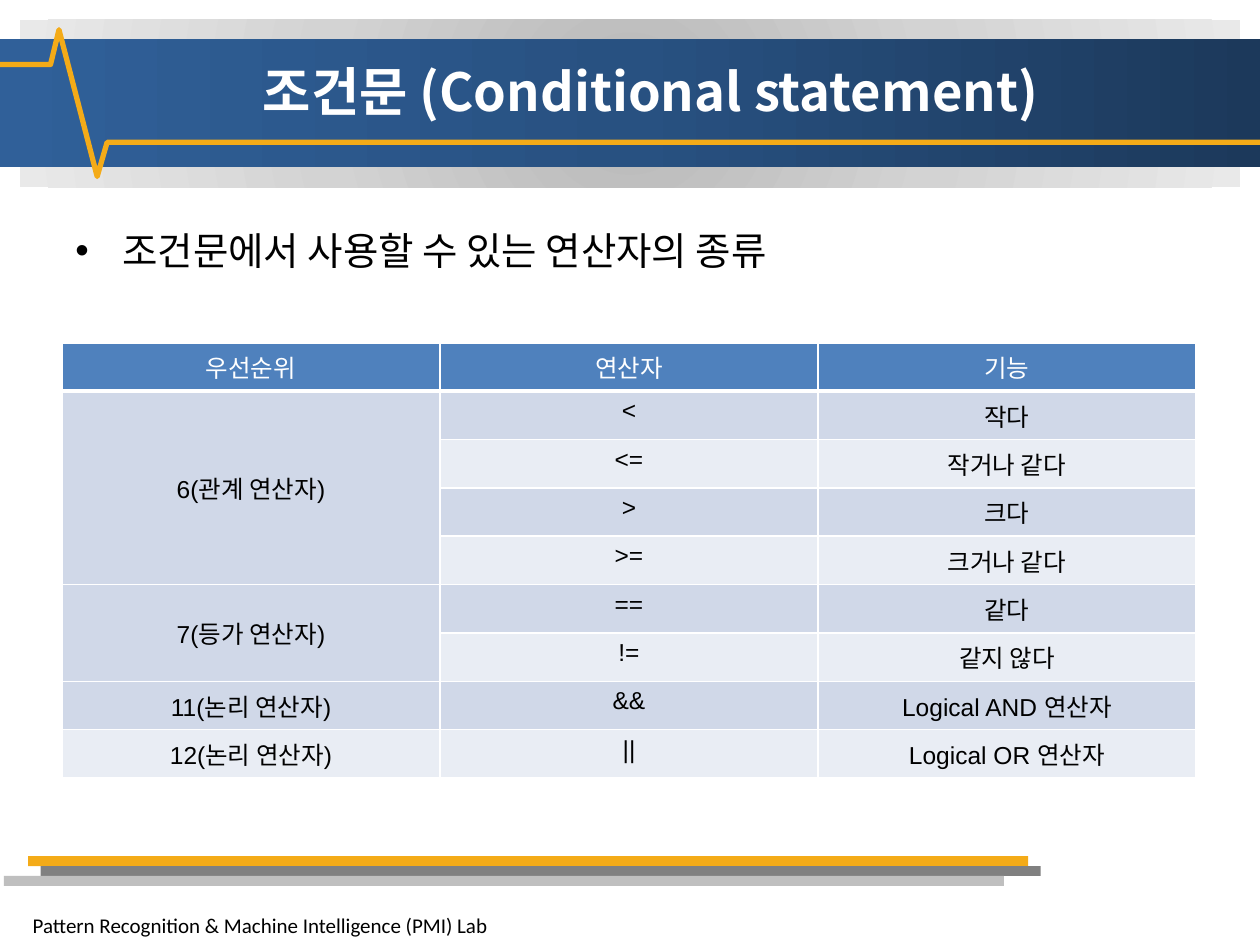
import collections
import pptx
import pptx.util
import pptx.dml.color
import pptx.enum.shapes
import pptx.enum.text
import pptx.oxml
import pptx.oxml.ns

Cm = pptx.util.Cm
Pt = pptx.util.Pt
Box = collections.namedtuple("Box", "left top width height")
ALIGN = pptx.enum.text.PP_ALIGN
ANCHOR = pptx.enum.text.MSO_ANCHOR
RECTANGLE = pptx.enum.shapes.MSO_SHAPE.RECTANGLE

COLORS = {
    "white": "FFFFFF", "black": "000000", "gold": "F4AB18",
    "gray": "808080", "silver": "BFBFBF",
    "head": "4F81BD", "odd": "D0D8E8", "even": "E9EDF4",
}
GLOW_STOPS = [(0, "B8B8B8"), (50, "D3D3D3"), (100, "E9E9E9")]
BAND_STOPS = [(0, "1C395B"), (50, "285181"), (100, "306099")]
KOREAN = "Noto Sans CJK KR"
HEADINGS = ["우선순위", "연산자", "기능"]
GROUPS = [
    ("6(관계 연산자)", [("<", "작다"), ("<=", "작거나 같다"),
                   (">", "크다"), (">=", "크거나 같다")]),
    ("7(등가 연산자)", [("==", "같다"), ("!=", "같지 않다")]),
    ("11(논리 연산자)", [("&&", "Logical AND 연산자")]),
    ("12(논리 연산자)", [("||", "Logical OR 연산자")]),
]


def rgb(name):
    return pptx.dml.color.RGBColor.from_string(COLORS[name])


def xml(text):
    return pptx.oxml.parse_xml(text.replace(">", f" {pptx.oxml.ns.nsdecls('a')}>", 1))


def add_span(para, text, size, font, color, bold=False):
    span = para.add_run()
    span.text = text
    span.font.size = Pt(size)
    span.font.name = font
    span.font.bold = bold
    span.font.color.rgb = rgb(color)
    span.font._element.append(xml(f'<a:ea typeface="{KOREAN}"></a:ea>'))


def add_bar(shapes, box, color="white"):
    bar = shapes.add_shape(RECTANGLE, *map(Cm, box))
    bar.shadow.inherit = False
    bar.fill.solid()
    bar.fill.fore_color.rgb = rgb(color)
    bar.line.fill.background()
    return bar


def add_gradient_bar(shapes, box, stops, direction):
    bar = add_bar(shapes, box)
    marks = "".join(
        f'<a:gs pos="{place * 1000}"><a:srgbClr val="{color}"/></a:gs>'
        for place, color in stops)
    gradient = xml(f"<a:gradFill><a:gsLst>{marks}</a:gsLst>{direction}</a:gradFill>")
    solid = bar._element.spPr.find(pptx.oxml.ns.qn("a:solidFill"))
    solid.getparent().replace(solid, gradient)


def add_banner(page, box):
    add_gradient_bar(
        page.shapes, Box(box.left + 0.4, box.top, box.width - 0.8, box.height), GLOW_STOPS,
        '<a:path path="circle"><a:fillToRect l="50000" t="50000" r="50000" b="50000"/></a:path>')
    add_gradient_bar(page.shapes, Box(box.left, box.top + 0.39, box.width, 2.58),
                     BAND_STOPS, '<a:lin ang="10800000" scaled="0"/>')

    points = [(0, 0.9), (1.02, 0.9), (1.19, 0.2), (1.96, 3.16), (2.16, 2.47), (box.width, 2.47)]
    points = [(Cm(box.left + x), Cm(box.top + y)) for x, y in points]
    outline = page.shapes.build_freeform(*points[0])
    outline.add_line_segments(points[1:], close=False)
    pulse = outline.convert_to_shape()
    pulse.shadow.inherit = False
    pulse.fill.background()
    pulse.line.color.rgb = rgb("gold")
    pulse.line.width = Pt(3)

    title = page.shapes.title
    title._element.getparent().append(title._element)
    title.left, title.top = Cm(box.left + 2.03), Cm(box.top + 0.53)
    title.width, title.height = Cm(22.17), Cm(1.78)
    title.text_frame.vertical_anchor = ANCHOR.MIDDLE
    para = title.text_frame.paragraphs[0]
    para.alignment = ALIGN.CENTER
    add_span(para, "조건문 (Conditional statement)", 30, KOREAN, "white", True)


def add_text(page, box, text, size, font):
    frame = page.shapes.add_textbox(*map(Cm, box)).text_frame
    frame.word_wrap = True
    para = frame.paragraphs[0]
    add_span(para, text, size, font, "black")
    return para


def add_topic(page, box):
    para = add_text(page, box, "조건문에서 사용할 수 있는 연산자의 종류", 22, KOREAN)
    properties = para._element.get_or_add_pPr()
    properties.set("marL", str(Cm(0.95)))
    properties.set("indent", str(-Cm(0.95)))
    properties.append(xml('<a:spcBef><a:spcPct val="20000"/></a:spcBef>'))
    properties.append(xml('<a:buFont typeface="Arial"></a:buFont>'))
    properties.append(xml('<a:buChar char="•"></a:buChar>'))


def set_cell(cell, text, fill, color="black", bottom=1):
    cell.fill.solid()
    cell.fill.fore_color.rgb = rgb(fill)
    properties = cell._tc.get_or_add_tcPr()
    for order, (side, width) in enumerate([("L", 1), ("R", 1), ("T", 1), ("B", bottom)]):
        properties.insert(order, xml(
            f'<a:ln{side} w="{Pt(width)}"><a:solidFill>'
            f'<a:srgbClr val="{COLORS["white"]}"/></a:solidFill></a:ln{side}>'))
    if text:
        para = cell.text_frame.paragraphs[0]
        para.alignment = ALIGN.CENTER
        add_span(para, text, 14, "Arial", color)


def add_operator_table(page, box):
    count = 1 + sum(len(entries) for _, entries in GROUPS)
    table = page.shapes.add_table(count, len(HEADINGS), *map(Cm, box)).table
    for line in table.rows:
        line.height = Cm(box.height / count)
    for column, heading in enumerate(HEADINGS):
        set_cell(table.cell(0, column), heading, "head", "white", 3)
    row = 1
    for group, entries in GROUPS:
        first = table.cell(row, 0)
        if len(entries) > 1:
            first.merge(table.cell(row + len(entries) - 1, 0))
            first.vertical_anchor = ANCHOR.MIDDLE
        for position, entry in enumerate(entries):
            fill = "odd" if row % 2 else "even"
            label = "" if position else group
            for column, text in enumerate((label, *entry)):
                set_cell(table.cell(row, column), text, fill)
            row += 1


def add_footer(page, box):
    bars = page.shapes.add_group_shape()
    for order, (offset, color) in enumerate([(0.49, "gold"), (0.74, "gray"), (0, "silver")]):
        add_bar(bars.shapes, Box(box.left + offset, box.top + order * 0.2, 20.16, 0.2), color)
    add_text(page, Box(box.left + 0.33, box.top + 1.02, 21.03, 0.76),
             "Pattern Recognition & Machine Intelligence (PMI) Lab", 12, "Calibri")


def main():
    deck = pptx.Presentation()
    deck.slide_width, deck.slide_height = Cm(25.4), Cm(19.05)
    page = deck.slides.add_slide(deck.slide_layouts.get_by_name("Title Only"))
    add_footer(page, Box(0.08, 17.26, 21.36, 1.78))
    add_banner(page, Box(0, 0.4, 25.4, 3.38))
    add_topic(page, Box(1.27, 4.45, 22.86, 1.2))
    add_operator_table(page, Box(1.25, 6.91, 22.86, 8.78))
    deck.save("out.pptx")


if __name__ == "__main__":
    main()
